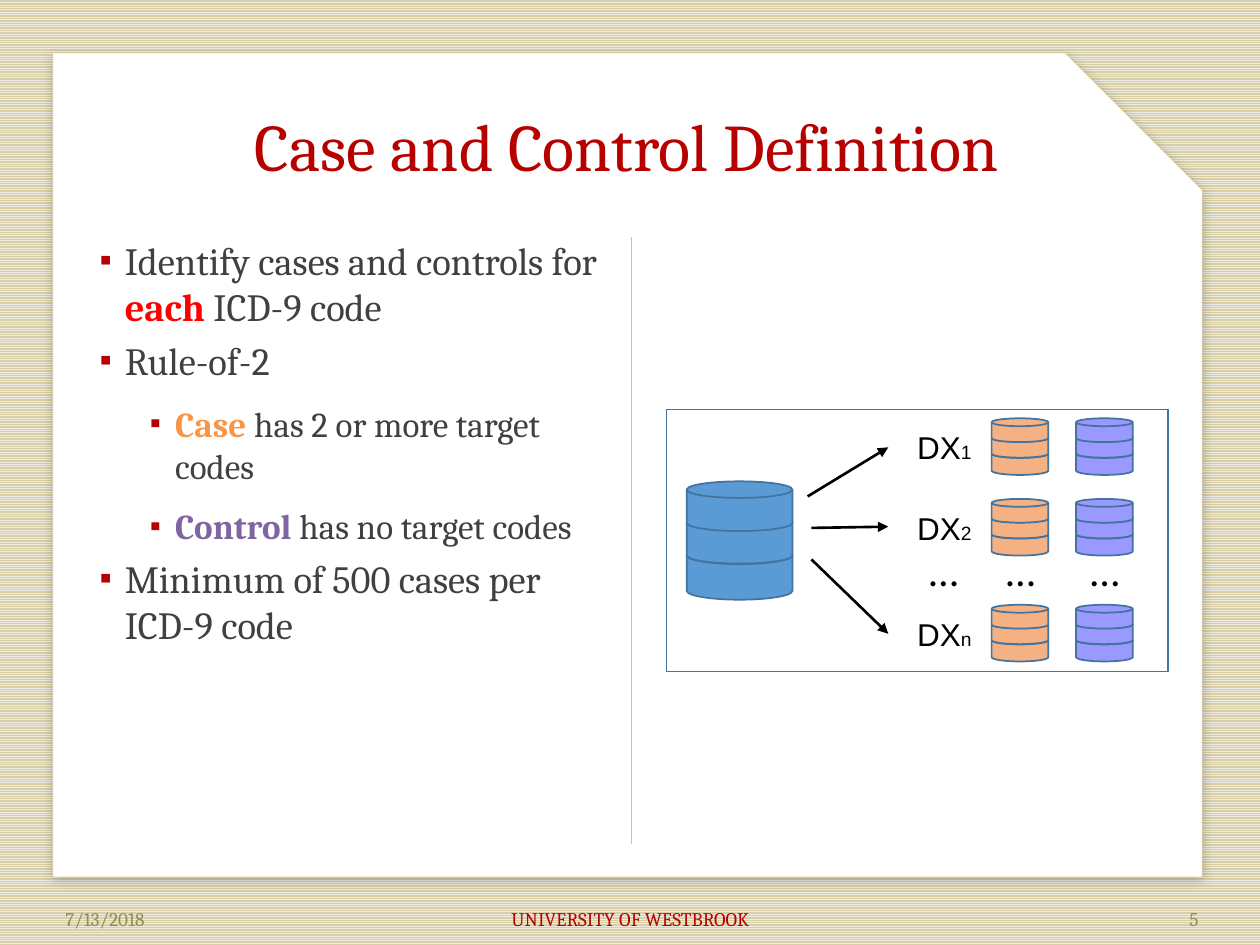
"""Build the slide on how cases and controls are defined, on a grid of 100 columns by 75 rows."""
import lxml.etree
import pptx
import pptx.dml.color
import pptx.enum.dml
import pptx.enum.shapes
import pptx.enum.text
import pptx.oxml.ns
import pptx.util

RGB = pptx.dml.color.RGBColor
RED, BRIGHT, GREY = RGB(0xB7, 0, 0), RGB(0xFF, 0, 0), RGB(0x40, 0x40, 0x40)
GOLD, PURPLE, OLIVE = RGB(0xF7, 0x96, 0x46), RGB(0x80, 0x64, 0xA2), RGB(0x94, 0x8A, 0x54)
SAND, CREAM, RULE = RGB(0xD8, 0xCF, 0xA7), RGB(0xEE, 0xEC, 0xE1), RGB(0xCA, 0xC2, 0x9C)
BLUE, PEACH, LILAC = RGB(0x5B, 0x9B, 0xD5), RGB(0xF4, 0xB1, 0x83), RGB(0x99, 0x99, 0xFF)
EDGE, BLACK, WHITE = RGB(0x43, 0x73, 0x9E), RGB(0, 0, 0), RGB(0xFF, 0xFF, 0xFF)
Pt = pptx.util.Pt
qn = pptx.oxml.ns.qn
SHAPE = pptx.enum.shapes.MSO_SHAPE
STRAIGHT = pptx.enum.shapes.MSO_CONNECTOR.STRAIGHT
ALIGN = pptx.enum.text.PP_ALIGN
ANCHOR = pptx.enum.text.MSO_ANCHOR

deck = pptx.Presentation()
deck.slide_width = pptx.util.Inches(10)
deck.slide_height = pptx.util.Inches(7.5)
unit = deck.slide_width / 100


def grid(*cells):
    """Turn columns and rows into lengths."""
    return [pptx.util.Emu(round(cell * unit)) for cell in cells]


def style(run, size, face, colour, bold=False):
    """Set the font of a run."""
    run.font.size, run.font.name, run.font.bold = Pt(size), face, bold
    run.font.color.rgb = colour


slide = deck.slides.add_slide(deck.slide_layouts[1])
shapes = slide.shapes
back = slide.background.fill
back.patterned()
back.pattern = pptx.enum.dml.MSO_PATTERN.NARROW_HORIZONTAL
back.fore_color.rgb, back.back_color.rgb = CREAM, SAND

pen = shapes.build_freeform(*grid(4.2, 4.2))
pen.add_line_segments([grid(*spot) for spot in
                       [(84.5, 4.2), (95.4, 15.1), (95.4, 69.6), (4.2, 69.6)]], close=True)
card = pen.convert_to_shape()
card.fill.solid()
card.fill.fore_color.rgb = WHITE
card.line.color.rgb, card.line.width = SAND, Pt(0.25)
card.shadow.inherit = False
glow = lxml.etree.SubElement(card._element.spPr.find(qn("a:effectLst")), qn("a:outerShdw"),
                             blurRad=str(Pt(6)), dist=str(Pt(2)), dir=str(80 * 60000))
tint = lxml.etree.SubElement(glow, qn("a:srgbClr"), val="000000")
lxml.etree.SubElement(tint, qn("a:alpha"), val="22000")
tree = card._element.getparent()
tree.remove(card._element)
tree.insert(2, card._element)

title, body = shapes.title, slide.placeholders[1]
for item, area in [(title, (4.2, 8.3, 91.1, 13.7)), (body, (7.9, 18.8, 39.7, 48.2))]:
    item.left, item.top, item.width, item.height = grid(*area)
    frame = item.text_frame
    frame.margin_left = frame.margin_top = frame.margin_right = frame.margin_bottom = 0
    frame.vertical_anchor, frame.word_wrap = ANCHOR.TOP, True
    frame.auto_size = pptx.enum.text.MSO_AUTO_SIZE.NONE
title.text_frame.text = "Case and Control Definition"
title.text_frame.paragraphs[0].alignment = ALIGN.CENTER
style(title.text_frame.paragraphs[0].runs[0], 38, "Cambria", RED)

points = [
    (0, [("Identify cases and controls for ", GREY), ("each", BRIGHT), (" ICD-9 code", GREY)]),
    (0, [("Rule-of-2", GREY)]),
    (1, [("Case", GOLD), (" has 2 or more target codes", GREY)]),
    (1, [("Control", PURPLE), (" has no target codes", GREY)]),
    (0, [("Minimum of 500 cases per ICD-9 code", GREY)]),
]
for rank, (level, parts) in enumerate(points):
    para = body.text_frame.add_paragraph() if rank else body.text_frame.paragraphs[0]
    para.level = level
    if level:
        para.space_before = Pt(10.8)
    for words, colour in parts:
        run = para.add_run()
        run.text = words
        style(run, 22 - 2 * level, "Cambria", colour, colour != GREY)
    prop = para._p.get_or_add_pPr()
    left, hang = grid(2 + 4 * level, -2)
    prop.set("marL", str(left))
    prop.set("indent", str(hang))
    dye = lxml.etree.SubElement(prop, qn("a:buClr"))
    lxml.etree.SubElement(dye, qn("a:srgbClr"), val=str(RED))
    lxml.etree.SubElement(prop, qn("a:buSzPct"), val="90000")
    lxml.etree.SubElement(prop, qn("a:buFont"), typeface="Arial")
    lxml.etree.SubElement(prop, qn("a:buChar"), char="▪")

group = shapes.add_group_shape().shapes
panel = group.add_shape(SHAPE.RECTANGLE, *grid(52.9, 32.5, 39.8, 20.8))
panel.fill.background()
panel.line.color.rgb, panel.line.width = EDGE, Pt(1)
panel.shadow.inherit = False

rows = [("1", 33.2), ("2", 39.6), ("n", 48)]
drums = [(54.5, 38.2, 8.4, 9.4, BLUE)]
drums += [(x, top, 4.5, 4.5, colour) for _, top in rows
          for x, colour in [(78.7, PEACH), (85.4, LILAC)]]
for x, top, wide, high, colour in drums:
    for tier in (2, 1, 0):
        share = 0.45 if tier == 2 else 0.42
        disk = group.add_shape(SHAPE.FLOWCHART_MAGNETIC_DISK,
                               *grid(x, top + tier * high * 0.275, wide, high * share))
        disk.fill.solid()
        disk.fill.fore_color.rgb = colour
        disk.line.color.rgb, disk.line.width = EDGE, Pt(1)
        disk.shadow.inherit = False

lines = [
    (shapes, (50.1, 18.8, 50.1, 67), RULE, 0.5),
    (group, (64.1, 39.4, 70.5, 35.5), BLACK, 1.5),
    (group, (64.4, 41.9, 70.5, 41.8), BLACK, 1.5),
    (group, (64.4, 44.4, 70.5, 50.3), BLACK, 1.5),
]
for host, ends, colour, width in lines:
    line = host.add_connector(STRAIGHT, *grid(*ends))
    line.line.color.rgb, line.line.width = colour, Pt(width)
    prop = line._element.spPr
    if host is group:
        lxml.etree.SubElement(prop.find(qn("a:ln")), qn("a:tailEnd"), type="triangle")
    lxml.etree.SubElement(prop, qn("a:effectLst"))

mid, top = ANCHOR.MIDDLE, ANCHOR.TOP
notes = [
    (shapes, (4.2, 70.9, 23.3, 4), mid, ALIGN.LEFT, [("7/13/2018", 11)], "Cambria", OLIVE),
    (shapes, (34.2, 70.9, 31.7, 4), mid, ALIGN.CENTER,
     [("UNIVERSITY OF WESTBROOK", 11)], "Cambria", RED),
    (shapes, (72.8, 70.9, 23.3, 4), mid, ALIGN.RIGHT, [("5", 11)], "Cambria", OLIVE),
]
notes += [(group, (70.5, y + 0.3, 8.9, 4), top, ALIGN.CENTER,
           [("DX", 18), (mark, 11)], "Arial", BLACK) for mark, y in rows]
notes += [(group, (x, 42.7, 7, 5), top, ALIGN.CENTER, [("…", 24)], "Calibri", BLACK)
          for x in (71.4, 77.5, 84.2)]
for host, area, anchor, align, parts, face, colour in notes:
    frame = host.add_textbox(*grid(*area)).text_frame
    frame.word_wrap, frame.vertical_anchor = True, anchor
    para = frame.paragraphs[0]
    para.alignment = align
    for words, size in parts:
        run = para.add_run()
        run.text = words
        style(run, size, face, colour)

deck.save("out.pptx")
